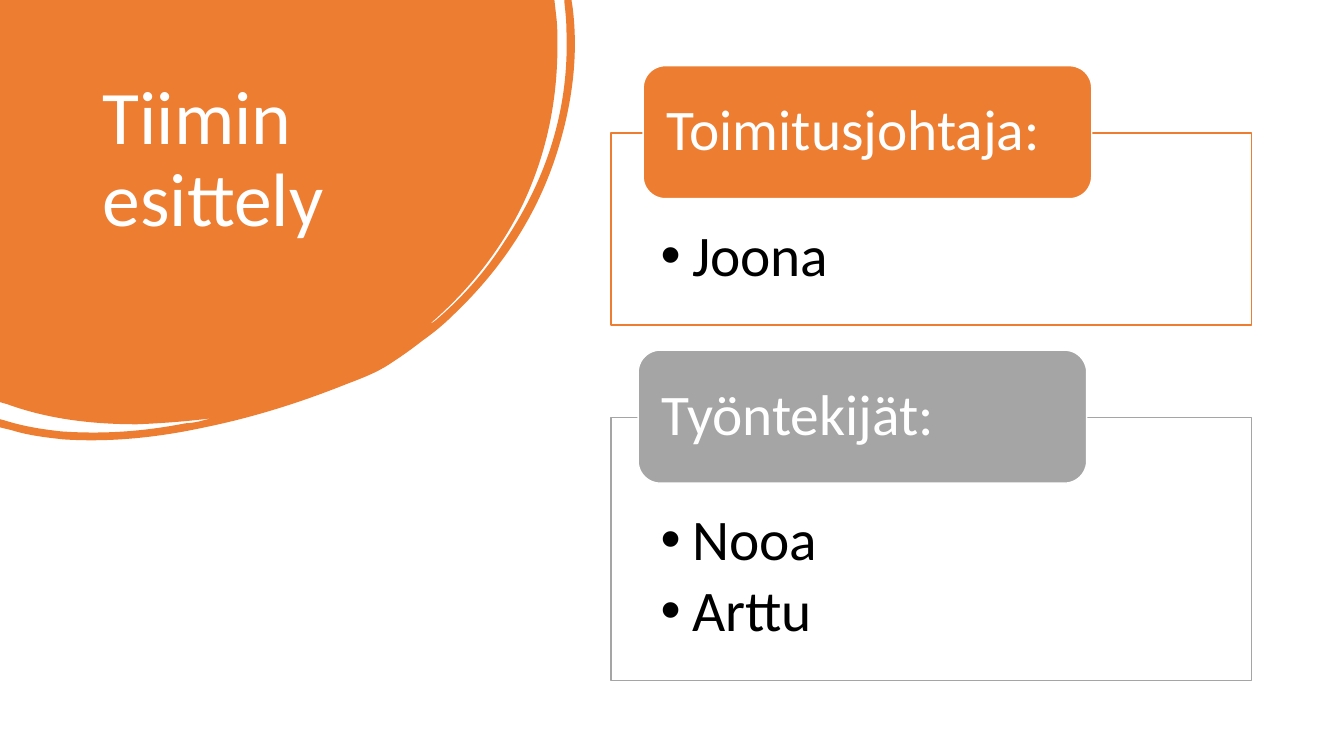
from lxml.etree import SubElement
from pptx import Presentation
from pptx.dml.color import RGBColor
from pptx.enum.shapes import MSO_SHAPE as Shape
from pptx.enum.text import MSO_ANCHOR as Anchor, MSO_AUTO_SIZE as AutoSize, PP_ALIGN as Align
from pptx.oxml.ns import qn
from pptx.util import Pt

# Content
TITLE = "Tiimin esittely"
ORANGE, GREY, WHITE, BLACK = "ED7D31", "A5A5A5", "FFFFFF", "000000"
TEAM = [  # heading, names, colour, frame top, frame height, tab left
    ("Toimitusjohtaja:", ["Joona"], ORANGE, 94.9, 137.4, 459.4),
    ("Työntekijät:", ["Nooa", "Arttu"], GREY, 298.1, 188, 455.8),
]
FRAME_LEFT, FRAME_WIDTH = 436.3, 457.6
TAB_WIDTH, TAB_HEIGHT, TAB_RISE = 320.4, 95, 48
TEXT_SIZE = 41

# Blob outline from (0, 0): two numbers are a line, six a Bézier curve
BLOB_WIDTH, BLOB_HEIGHT = 411.1, 314.6
BLOB = [
    (396, 0), (397.4, 12.2),
    (398.2, 18.7, 398.2, 25.9, 398.2, 32.4),
    (398.2, 72.7, 390.2, 110.9, 373, 146.9),
    (357.1, 179.3, 334.8, 207.4, 307.4, 231.1),
    (308.9, 231.1, 309.6, 229.7, 311, 229),
    (330.5, 212.4, 347, 193.7, 360.7, 172.1),
    (391, 126.7, 406.8, 77, 404.6, 21.6),
    (404.6, 15.1, 403.9, 8.6, 403.2, 2.2),
    (403.2, 0), (408.2, 0), (409, 5),
    (413.3, 38.9, 409, 73.4, 398.2, 108),
    (383.8, 154.1, 357.8, 193, 322.6, 226.1),
    (316.1, 232.6, 308.9, 238.3, 301.7, 243.4),
    (294.5, 249.1, 287.3, 254.2, 278.6, 259.9),
    (270, 265.7, 259.2, 270, 247.7, 274.3),
    (215.3, 287.3, 181.4, 298.1, 146.2, 305.3),
    (113, 312.5, 79.2, 316.1, 45.4, 313.9),
    (32.4, 312.5, 20.2, 311, 8.6, 307.4),
    (0, 305.3), (0, 299.5), (2.9, 300.2),
    (16.6, 304.6, 30.2, 306.7, 43.9, 308.2),
    (74.2, 310.3, 103, 308.2, 132.5, 302.4),
    (136.1, 302.4, 139, 301.7, 142.6, 301),
    (145.4, 300.2, 148.3, 299.5, 151.2, 298.8),
    (133.9, 301, 115.9, 302.4, 97.9, 303.1),
    (66.2, 303.1, 34.6, 299.5, 5, 288.7),
    (0, 287.3),
]


def rgb(value):
    return RGBColor.from_string(value)


def place(shape, left, top, width, height):
    shape.left, shape.top = Pt(left), Pt(top)
    shape.width, shape.height = Pt(width), Pt(height)


def paint(shape, fill, line):
    shape.fill.solid()
    shape.fill.fore_color.rgb = rgb(fill)
    shape.line.color.rgb = rgb(line)
    shape.line.width = Pt(1)


def set_frame(shape, anchor, left, top, right, bottom):
    frame = shape.text_frame
    frame.word_wrap, frame.auto_size = True, AutoSize.NONE
    frame.vertical_anchor = anchor
    frame.margin_left, frame.margin_top = Pt(left), Pt(top)
    frame.margin_right, frame.margin_bottom = Pt(right), Pt(bottom)
    return frame


def write(paragraph, text, size, colour, after=0):
    paragraph.alignment = Align.LEFT
    paragraph.line_spacing = 0.9
    paragraph.space_before, paragraph.space_after = Pt(0), Pt(after)
    run = paragraph.add_run()
    run.text = text
    run.font.name, run.font.size = "Calibri", Pt(size)
    run.font.color.rgb = rgb(colour)


def add_bullet(paragraph):
    props = paragraph._p.get_or_add_pPr()
    props.set("marL", str(Pt(22.5)))
    props.set("indent", str(-Pt(22.5)))
    SubElement(props, qn("a:buChar")).set("char", "•")


def bend(shape, segments):
    """Turn the straight steps of six-number segments into Bézier curves."""
    outline = next(shape.element.iter(qn("a:path")))
    outline.set("w", str(Pt(BLOB_WIDTH)))
    outline.set("h", str(Pt(BLOB_HEIGHT)))
    for step, segment in zip(outline.findall(qn("a:lnTo")), segments):
        if len(segment) == 6:
            curve = SubElement(outline, qn("a:cubicBezTo"))
            for x, y in zip(segment[::2], segment[1::2]):
                point = SubElement(curve, qn("a:pt"))
                point.set("x", str(Pt(x)))
                point.set("y", str(Pt(y)))
            outline.replace(step, curve)


deck = Presentation()
deck.slide_width, deck.slide_height = Pt(960), Pt(540)
slide = deck.slides.add_slide(deck.slide_layouts[3])
shapes = slide.shapes
title, *lists = list(slide.placeholders)[:3]
for spare in list(slide.placeholders)[3:]:
    spare.element.getparent().remove(spare.element)

# Blob, behind the title
builder = shapes.build_freeform(0, 0)
builder.add_line_segments([(Pt(s[-2]), Pt(s[-1])) for s in BLOB], close=True)
blob = builder.convert_to_shape()
bend(blob, BLOB)
place(blob, 0, 0, BLOB_WIDTH, BLOB_HEIGHT)
blob.shadow.inherit = False
blob.fill.solid()
blob.fill.fore_color.rgb = rgb(ORANGE)
blob.line.fill.background()
title.element.addprevious(blob.element)

# Title
place(title, 66.2, 53.3, 253.4, 159.8)
title_text = set_frame(title, Anchor.TOP, 7.2, 3.6, 7.2, 3.6)
write(title_text.paragraphs[0], TITLE, 54, WHITE)

# Framed lists with heading tabs
for names_box, (heading, names, colour, top, height, tab_left) in zip(lists, TEAM):
    place(names_box, FRAME_LEFT, top, FRAME_WIDTH, height)
    paint(names_box, WHITE, colour)
    names_text = set_frame(names_box, Anchor.TOP, 35.5, 67, 35.5, 23)
    for i, name in enumerate(names):
        paragraph = names_text.add_paragraph() if i else names_text.paragraphs[0]
        write(paragraph, name, TEXT_SIZE, BLACK, after=6.15)
        add_bullet(paragraph)

    tab = shapes.add_shape(Shape.ROUNDED_RECTANGLE, Pt(tab_left), Pt(top - TAB_RISE),
                           Pt(TAB_WIDTH), Pt(TAB_HEIGHT))
    tab.shadow.inherit = False
    paint(tab, colour, WHITE)
    tab_text = set_frame(tab, Anchor.MIDDLE, 12.2, 0, 12.2, 0)
    write(tab_text.paragraphs[0], heading, TEXT_SIZE, WHITE)

deck.save("out.pptx")
